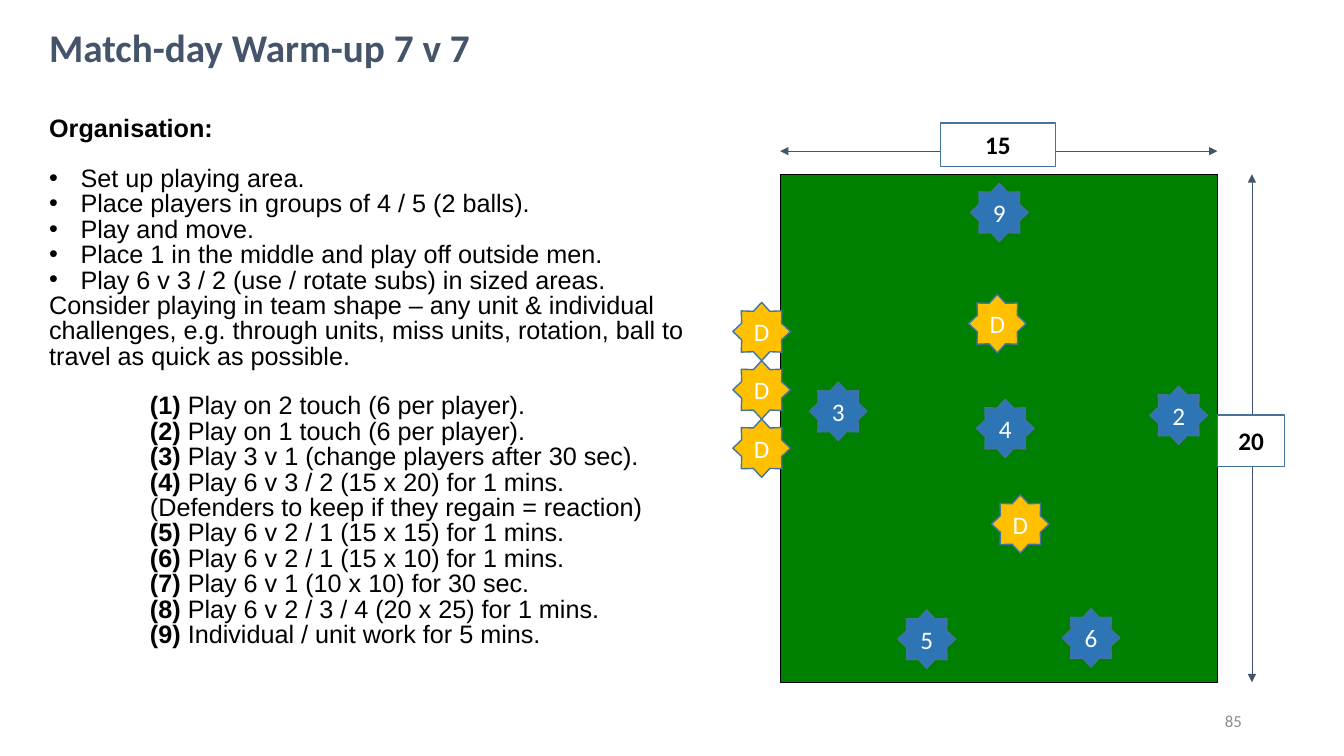
from lxml.etree import SubElement
from pptx import Presentation
from pptx.dml.color import RGBColor
from pptx.enum.shapes import MSO_CONNECTOR, MSO_SHAPE
from pptx.enum.text import MSO_ANCHOR, PP_ALIGN
from pptx.oxml.ns import qn
from pptx.util import Cm, Pt

BLACK = RGBColor(0x00, 0x00, 0x00)
WHITE = RGBColor(0xFF, 0xFF, 0xFF)
GREY = RGBColor(0x8C, 0x8C, 0x8C)
SLATE = RGBColor(0x44, 0x54, 0x6A)
GRASS = RGBColor(0x00, 0x80, 0x00)
BLUE = RGBColor(0x2E, 0x75, 0xB6)
AMBER = RGBColor(0xFF, 0xC0, 0x00)
EDGE = RGBColor(0x43, 0x73, 0x9E)

TITLE = "Match-day Warm-up 7 v 7"
PAGE = "85"
HEADING = "Organisation:"
SETUP = [
    "Set up playing area.",
    "Place players in groups of 4 / 5 (2 balls).",
    "Play and move.",
    "Place 1 in the middle and play off outside men.",
    "Play 6 v 3 / 2 (use / rotate subs) in sized areas.",
]
ADVICE = (
    "Consider playing in team shape – any unit & individual challenges, "
    "e.g. through units, miss units, rotation, ball to travel as quick as possible."
)
DRILLS = [
    ("(1) ", "Play on 2 touch (6 per player)."),
    ("(2) ", "Play on 1 touch (6 per player)."),
    ("(3) ", "Play 3 v 1 (change players after 30 sec)."),
    ("(4) ", "Play 6 v 3 / 2 (15 x 20) for 1 mins."),
    ("", "(Defenders to keep if they regain = reaction)"),
    ("(5) ", "Play 6 v 2 / 1 (15 x 15) for 1 mins."),
    ("(6) ", "Play 6 v 2 / 1 (15 x 10) for 1 mins."),
    ("(7) ", "Play 6 v 1 (10 x 10) for 30 sec."),
    ("(8) ", "Play 6 v 2 / 3 / 4 (20 x 25) for 1 mins."),
    ("(9) ", "Individual / unit work for 5 mins."),
]

# Lengths in cm: left, top, width, height
PITCH = (19.66, 4.39, 11.02, 12.8)
WIDTH_LABEL = ("15", (23.7, 3.1, 2.9, 1.09))
LENGTH_LABEL = ("20", (30.68, 10.46, 1.7, 1.3))
ARROW_GAP = (0.58, 0.87)  # above the pitch, right of the pitch
STAR = (1.45, 1.47)
PLAYERS = [
    ("9", 24.46, 4.62), ("4", 24.61, 10.06), ("2", 28.98, 9.73),
    ("6", 26.77, 15.34), ("5", 22.63, 15.37), ("3", 20.4, 9.63),
]
DEFENDERS = [(24.41, 7.42), (24.99, 12.47)]
WAITING, WAITING_LEFT, WAITING_TOP = 3, 18.47, 7.62

LINE_SPACING = 0.84
BULLET_INDENT = 0.79
DRILL_INDENT = 2.54
BLOCK_GAP = 17.3

deck = Presentation()
deck.slide_width, deck.slide_height = Cm(33.87), Cm(19.05)
slide = deck.slides.add_slide(deck.slide_layouts[6])


def add_run(paragraph, text, size, colour, bold=False, font="Calibri"):
    run = paragraph.add_run()
    run.text = text
    run.font.name, run.font.size, run.font.bold = font, Pt(size), bold
    run.font.color.rgb = colour


def add_box(left, top, width, height, anchor=MSO_ANCHOR.TOP):
    frame = slide.shapes.add_textbox(Cm(left), Cm(top), Cm(width), Cm(height)).text_frame
    frame.word_wrap = True
    frame.vertical_anchor = anchor
    return frame


def add_shape(preset, place, fill, edge, weight, label="", colour=WHITE, bold=False):
    shape = slide.shapes.add_shape(preset, *map(Cm, place))
    shape.shadow.inherit = False
    shape.fill.solid()
    shape.fill.fore_color.rgb = fill
    shape.line.color.rgb = edge
    shape.line.width = Pt(weight)
    if label:
        frame = shape.text_frame
        frame.word_wrap = False
        frame.margin_left = frame.margin_right = frame.margin_top = frame.margin_bottom = 0
        frame.vertical_anchor = MSO_ANCHOR.MIDDLE
        frame.paragraphs[0].alignment = PP_ALIGN.CENTER
        add_run(frame.paragraphs[0], label, 18, colour, bold)


def add_measure(*ends):
    """Draw a thin line with an arrowhead at both ends."""
    line = slide.shapes.add_connector(MSO_CONNECTOR.STRAIGHT, *map(Cm, ends))
    line.line.color.rgb = SLATE
    line.line.width = Pt(0.5)
    outline = line.line._get_or_add_ln()
    for end in ("a:headEnd", "a:tailEnd"):
        SubElement(outline, qn(end), type="triangle")
    SubElement(line._element.spPr, qn("a:effectLst"))


def add_star(label, left, top, fill):
    add_shape(MSO_SHAPE.STAR_8_POINT, (left, top, *STAR), fill, EDGE, 1, label)


def add_line(frame, text, lead="", indent=0, bullet=False, gap=0):
    """Add a paragraph of instructions with an optional bold lead."""
    paragraph = frame.add_paragraph()
    paragraph.line_spacing = LINE_SPACING
    paragraph.space_before = Pt(gap)
    properties = paragraph._p.get_or_add_pPr()
    properties.set("marL", str(Cm(indent)))
    if bullet:
        properties.set("indent", str(-Cm(indent)))
        SubElement(properties, qn("a:buFont"), typeface="Arial")
        SubElement(properties, qn("a:buChar"), char="•")
    if lead:
        add_run(paragraph, lead, 18, BLACK, True, "Arial")
    add_run(paragraph, text, 18, BLACK, font="Arial")


title = add_box(0.99, 0.59, 22.86, 1.73).paragraphs[0]
title.line_spacing = 0.9
add_run(title, TITLE, 28, SLATE, True)

page = add_box(23.93, 17.65, 7.62, 1.02, MSO_ANCHOR.MIDDLE).paragraphs[0]
page.alignment = PP_ALIGN.RIGHT
add_run(page, PAGE, 12, GREY)

instructions = add_box(0.99, 2.84, 16.94, 13.79)
heading = instructions.paragraphs[0]
heading.line_spacing = LINE_SPACING
add_run(heading, HEADING, 18, BLACK, True, "Arial")
for row, step in enumerate(SETUP):
    add_line(instructions, step, indent=BULLET_INDENT, bullet=True,
             gap=0 if row else BLOCK_GAP)
add_line(instructions, ADVICE)
for row, (number, drill) in enumerate(DRILLS):
    add_line(instructions, drill, number, DRILL_INDENT, gap=0 if row else BLOCK_GAP)

add_shape(MSO_SHAPE.RECTANGLE, PITCH, GRASS, BLACK, 0.75)
left, top, width, length = PITCH
above, beside = top - ARROW_GAP[0], left + width + ARROW_GAP[1]
add_measure(left, above, left + width, above)
add_measure(beside, top + length, beside, top)
for distance, place in (WIDTH_LABEL, LENGTH_LABEL):
    add_shape(MSO_SHAPE.RECTANGLE, place, WHITE, EDGE, 1, distance, BLACK, True)

for number, x, y in PLAYERS:
    add_star(number, x, y, BLUE)
queue = [(WAITING_LEFT, WAITING_TOP + place * STAR[1]) for place in range(WAITING)]
for x, y in DEFENDERS + queue:
    add_star("D", x, y, AMBER)

deck.save("out.pptx")
